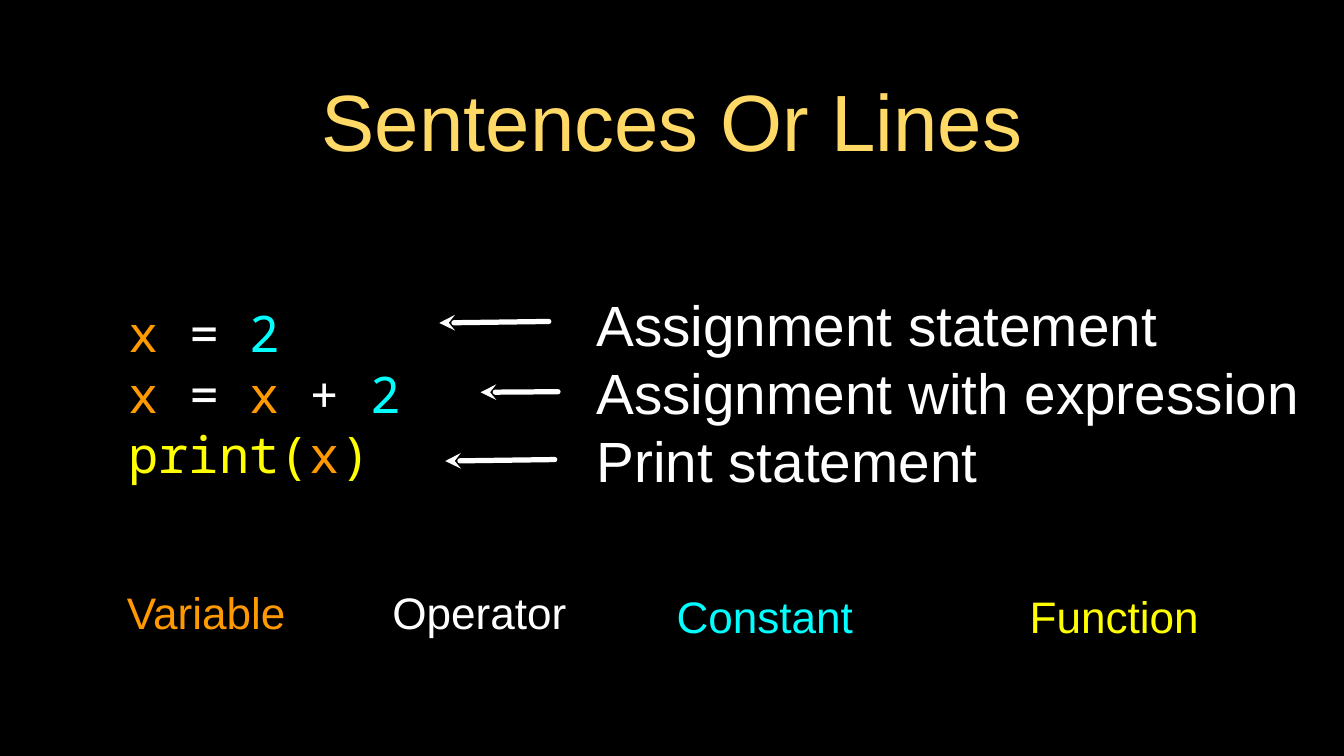
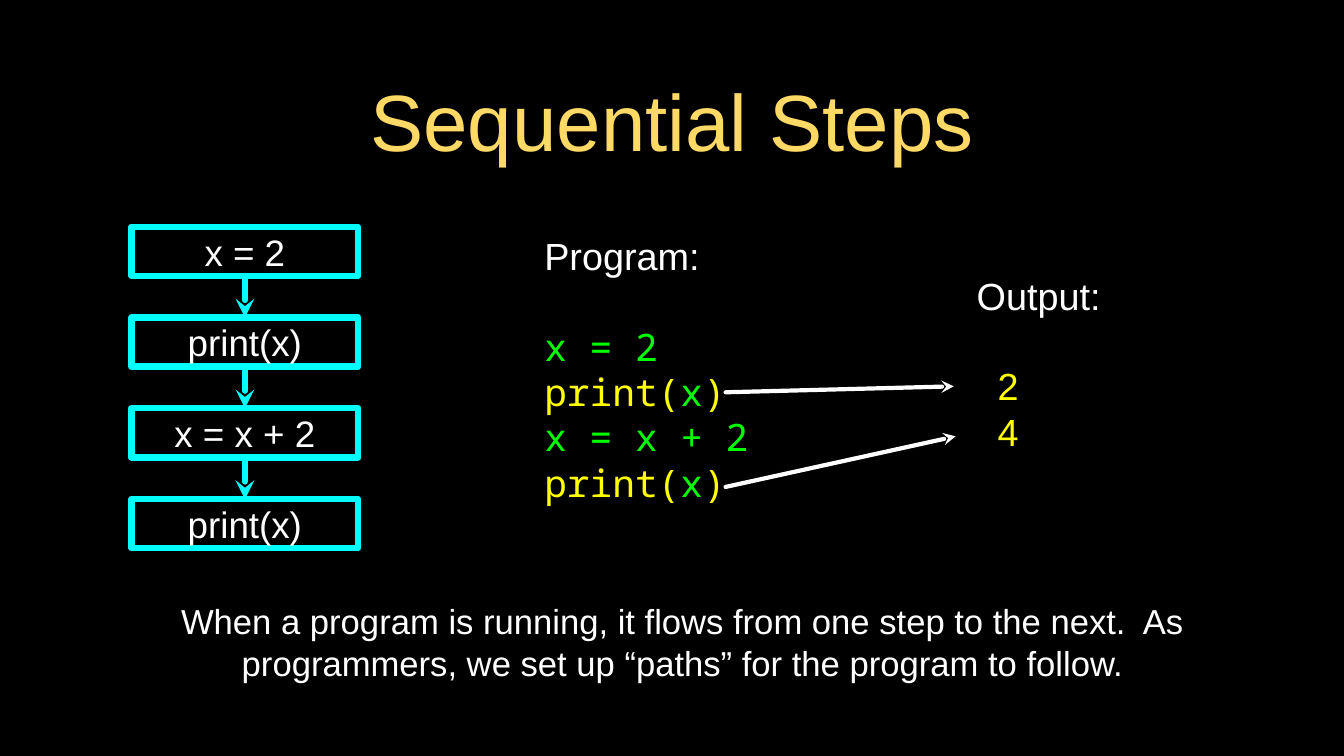
from dataclasses import dataclass
from itertools import pairwise

import lxml.etree
import pptx
import pptx.dml.color
import pptx.enum.shapes
import pptx.enum.text
import pptx.oxml.ns
import pptx.util

Cm, Pt = pptx.util.Cm, pptx.util.Pt
RGBColor = pptx.dml.color.RGBColor
ALIGN = pptx.enum.text.PP_ALIGN
qn = pptx.oxml.ns.qn

# Shared style
BLACK = RGBColor(0x00, 0x00, 0x00)
WHITE = RGBColor(0xFF, 0xFF, 0xFF)
GOLD = RGBColor(0xFF, 0xD9, 0x66)
ORANGE = RGBColor(0xFF, 0x99, 0x00)
CYAN = RGBColor(0x00, 0xFF, 0xFF)
YELLOW = RGBColor(0xFF, 0xFF, 0x00)
GREEN = RGBColor(0x00, 0xFF, 0x00)
SANS, MONO = "Arial", "Noto Sans Mono"
LEADING = 1.2


@dataclass(frozen=True)
class Box:
    left: float
    top: float
    width: float
    height: float

    def lengths(self) -> tuple:
        return Cm(self.left), Cm(self.top), Cm(self.width), Cm(self.height)


@dataclass(frozen=True)
class Line:
    spans: tuple[tuple[str, RGBColor], ...]
    font: str = SANS
    before: float = 0
    indent: float = 0


@dataclass(frozen=True)
class Arrow:
    x1: float
    y1: float
    x2: float
    y2: float


@dataclass(frozen=True)
class Label:
    text: str
    color: RGBColor
    box: Box


def plain(text: str, color: RGBColor = WHITE, **kw) -> Line:
    return Line(((text, color),), **kw)


def write(tf, lines: list[Line], *, size: float, align=ALIGN.LEFT, inset: float = 0) -> None:
    """Fill a text frame, one paragraph per line."""
    tf.word_wrap = True
    tf.auto_size = pptx.enum.text.MSO_AUTO_SIZE.NONE
    tf.vertical_anchor = pptx.enum.text.MSO_ANCHOR.MIDDLE
    tf.margin_left = tf.margin_right = tf.margin_top = tf.margin_bottom = Cm(inset)
    for i, line in enumerate(lines):
        p = tf.add_paragraph() if i else tf.paragraphs[0]
        p.alignment = align
        p.line_spacing = Pt(size * LEADING)
        p.space_before = Pt(line.before)
        if line.indent:
            p._p.get_or_add_pPr().set("marL", str(Cm(line.indent)))
        for text, color in line.spans:
            r = p.add_run()
            r.text = text
            r.font.size = Pt(size)
            r.font.name = line.font
            r.font.color.rgb = color


def add_text(s, box: Box, lines: list[Line], **kw) -> None:
    write(s.shapes.add_textbox(*box.lengths()).text_frame, lines, **kw)


def add_slide(prs, title: str):
    s = prs.slides.add_slide(prs.slide_layouts[5])
    sp = s.shapes.title
    sp.left, sp.top, sp.width, sp.height = Box(2.26, 2.13, 40.64, 3.78).lengths()
    write(sp.text_frame, [plain(title, GOLD)], size=76, align=ALIGN.CENTER, inset=0.1)
    return s


def style_line(sp, color: RGBColor, width: float):
    """Solid line with round caps and joins; returns its a:ln element."""
    sp.line.color.rgb = color
    sp.line.width = Pt(width)
    ln = sp._element.spPr.find(qn("a:ln"))
    ln.set("cap", "rnd")
    lxml.etree.SubElement(ln, qn("a:round"))
    return ln


def add_arrow(s, arrow: Arrow, color: RGBColor, width: float):
    ends = (Cm(v) for v in (arrow.x1, arrow.y1, arrow.x2, arrow.y2))
    c = s.shapes.add_connector(pptx.enum.shapes.MSO_CONNECTOR.STRAIGHT, *ends)
    ln = style_line(c, color, width)
    lxml.etree.SubElement(ln, qn("a:tailEnd")).set("type", "stealth")
    lxml.etree.SubElement(c._element.spPr, qn("a:effectLst"))
    return c


def add_step(s, box: Box, text: str):
    sp = s.shapes.add_shape(pptx.enum.shapes.MSO_SHAPE.RECTANGLE, *box.lengths())
    sp.shadow.inherit = False
    sp.fill.background()
    style_line(sp, CYAN, 6)
    write(sp.text_frame, [plain(text)], size=35, align=ALIGN.CENTER)
    return sp


def print_line(variable: RGBColor) -> Line:
    return Line((("print(", YELLOW), ("x", variable), (")", YELLOW)), MONO)


def build_sentences(prs) -> None:
    s = add_slide(prs, "Sentences Or Lines")

    # Code and what each line is
    x, equals, two = ("x ", ORANGE), ("= ", WHITE), ("2", CYAN)
    code = [Line((x, equals, two), MONO),
            Line((x, equals, x, ("+ ", WHITE), two), MONO),
            print_line(ORANGE)]
    add_text(s, Box(4.32, 10.13, 11.13, 6.15), code, size=48)
    kinds = ["Assignment statement", "Assignment with expression", "Print statement"]
    add_text(s, Box(20.04, 9.91, 24.66, 6.5), [plain(k) for k in kinds], size=54)
    for arrow in (Arrow(18.44, 10.8, 14.76, 10.85),
                  Arrow(18.75, 13.16, 16.15, 13.18),
                  Arrow(18.64, 15.44, 14.96, 15.49)):
        add_arrow(s, arrow, WHITE, 5)

    # Colour legend
    for label in (Label("Variable", ORANGE, Box(3.68, 19.74, 6.5, 1.65)),
                  Label("Operator", WHITE, Box(13.06, 19.74, 6.1, 1.65)),
                  Label("Constant", CYAN, Box(22.45, 19.86, 6.5, 1.65)),
                  Label("Function", YELLOW, Box(32.59, 19.86, 9.7, 1.65))):
        add_text(s, label.box, [plain(label.text, label.color)],
                 size=42, align=ALIGN.CENTER)


def build_steps(prs) -> None:
    s = add_slide(prs, "Sequential Steps")

    # Program and its output
    size = 36
    gap = size * LEADING
    program = [plain("Program:"),
               plain("x = 2", GREEN, font=MONO, before=gap),
               print_line(GREEN),
               plain("x = x + 2", GREEN, font=MONO),
               print_line(GREEN)]
    add_text(s, Box(18.29, 7.87, 9.02, 9.04), program, size=size)
    output = [plain("Output:"),
              plain("2", YELLOW, before=gap, indent=0.7),
              plain("4", YELLOW, indent=0.7)]
    add_text(s, Box(32.82, 9.25, 4.83, 5.89), output, size=size)
    for arrow in (Arrow(24.38, 13.18, 32.05, 12.98),
                  Arrow(24.38, 16.36, 32.11, 14.66)):
        add_arrow(s, arrow, WHITE, 4)

    # Flow of steps
    texts = ["x = 2", "print(x)", "x = x + 2", "print(x)"]
    steps = [add_step(s, Box(4.42, 7.62 + 3.05 * i, 7.62, 1.65), text)
             for i, text in enumerate(texts)]
    for upper, lower in pairwise(steps):
        c = add_arrow(s, Arrow(0, 0, 0, 0), CYAN, 6)
        c.begin_connect(upper, 2)
        c.end_connect(lower, 0)

    # Summary
    summary = ("When a program is running, it flows from one step to the next.  "
               "As programmers, we set up “paths” for the program to follow.")
    add_text(s, Box(5.72, 20.24, 34.44, 2.64), [plain(summary)],
             size=33, align=ALIGN.CENTER)


def main() -> None:
    prs = pptx.Presentation()
    prs.slide_width, prs.slide_height = Cm(45.16), Cm(25.4)
    fill = prs.slide_master.background.fill
    fill.solid()
    fill.fore_color.rgb = BLACK
    build_sentences(prs)
    build_steps(prs)
    prs.save("out.pptx")


if __name__ == "__main__":
    main()
